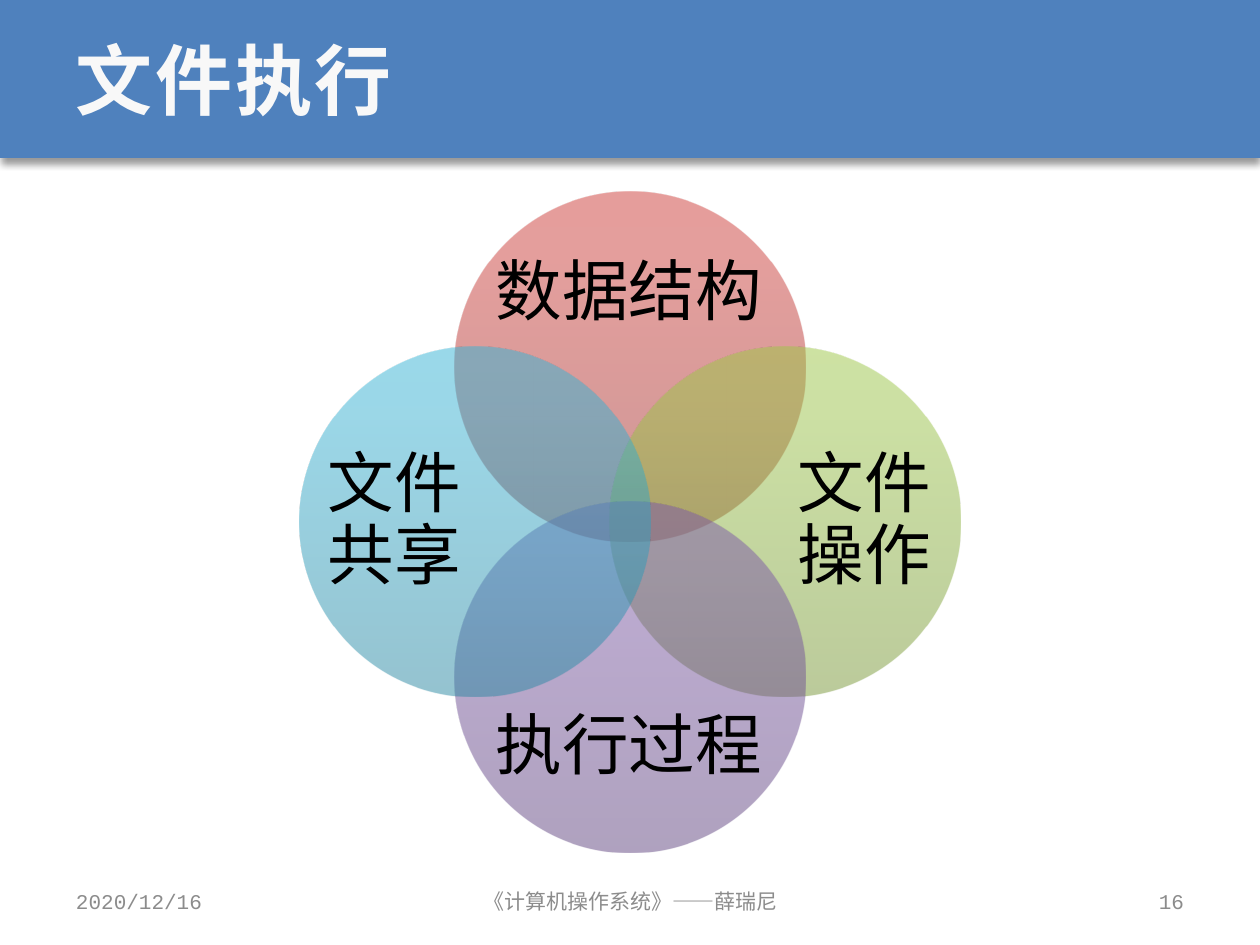
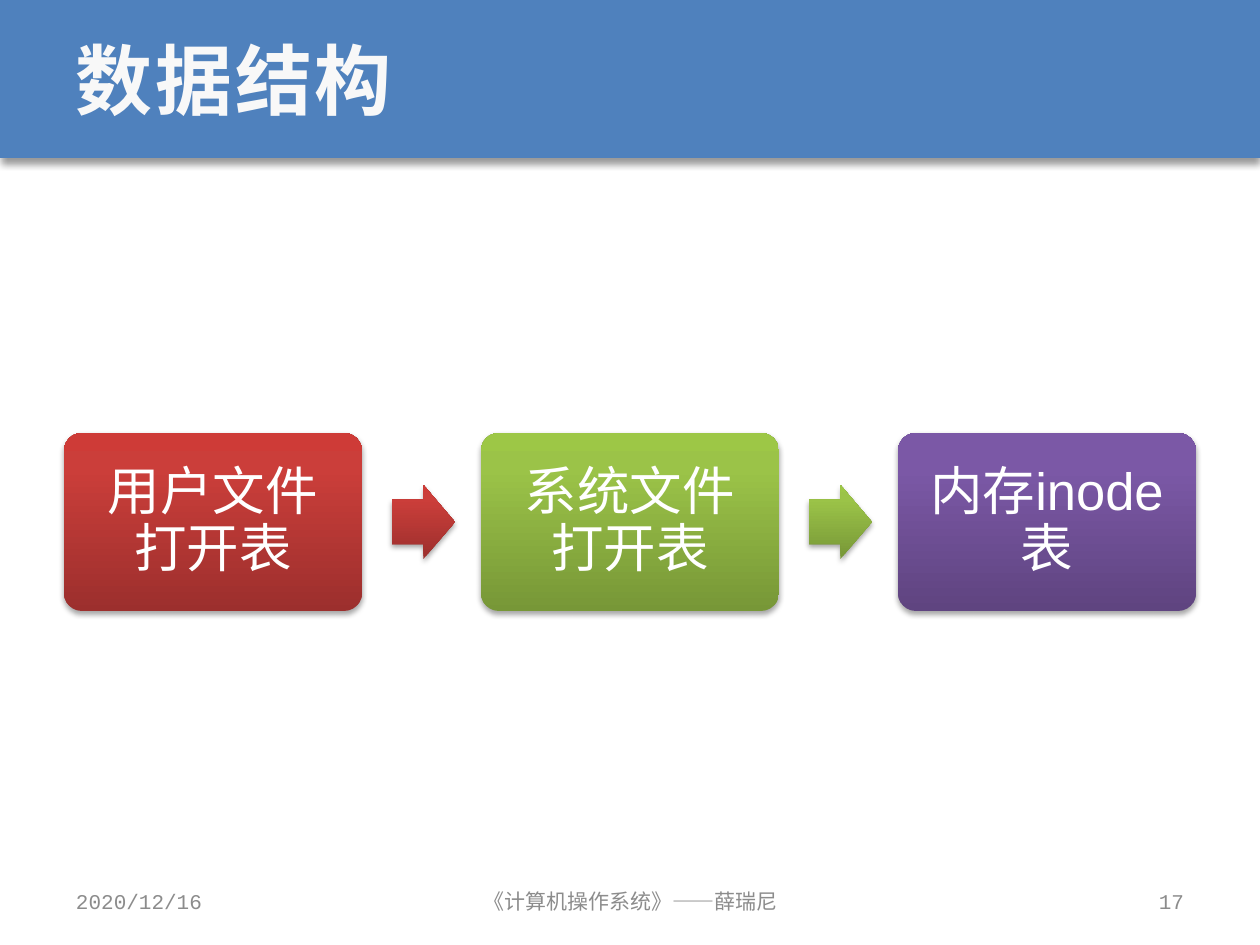
import lxml.etree
import pptx
import pptx.dml.color
import pptx.enum.shapes
import pptx.enum.text
import pptx.oxml.ns
import pptx.util

PX = 7257.14  # EMU per px, 126 px to the inch
COLORS = {"band": "4F81BD", "title": "F8F8F8", "footer": "8C8C8C",
          "black": "000000", "white": "FFFFFF"}
# Gradients run from the bottom up, with stops at 0, 80 and 100 percent
GRADIENTS = {"red": ("9C2F2D", "CB3E3A", "CE3B37"),
             "green": ("779737", "9BC348", "9DC746"),
             "purple": ("5F4480", "7B58A6", "7C57A8"),
             "cyan": ("2A88A2", "37B1D2", "34B4D6")}
STOPS = (0, 80, 100)
SHAPE = pptx.enum.shapes.MSO_SHAPE
ALIGN = pptx.enum.text.PP_ALIGN
qn = pptx.oxml.ns.qn


def add_figure(page, kind, bounds, fill, alpha=100, shadow=None):
    """Add a borderless shape; shadow is (opacity percent, blur pt, distance pt)."""
    figure = page.shapes.add_shape(kind, *[round(v * PX) for v in bounds])
    figure.line.fill.background()
    figure.shadow.inherit = False
    properties = figure._element.spPr
    if fill in GRADIENTS:
        figure.fill.gradient()
        figure.fill.gradient_angle = 90
        stop_list = properties.find(".//" + qn("a:gsLst"))
        stop_list.clear()
        for position, color in zip(STOPS, GRADIENTS[fill]):
            stop = lxml.etree.SubElement(stop_list, qn("a:gs"), pos=str(position * 1000))
            tone = lxml.etree.SubElement(stop, qn("a:srgbClr"), val=color)
            if alpha < 100:
                lxml.etree.SubElement(tone, qn("a:alpha"), val=str(alpha * 1000))
    else:
        figure.fill.solid()
        figure.fill.fore_color.rgb = pptx.dml.color.RGBColor.from_string(COLORS[fill])
    if shadow:
        opacity, blur, distance = shadow
        outer = lxml.etree.SubElement(
            properties.find(qn("a:effectLst")), qn("a:outerShdw"),
            blurRad=str(pptx.util.Pt(blur)), dist=str(pptx.util.Pt(distance)),
            dir="5400000", rotWithShape="0")
        tone = lxml.etree.SubElement(outer, qn("a:srgbClr"), val=COLORS["black"])
        lxml.etree.SubElement(tone, qn("a:alpha"), val=str(opacity * 1000))
    return figure


def write_text(box, text, size, color, font="Arial", align=ALIGN.CENTER,
               insets=(0, 0), spacing=0.9):
    """Fill a box with one middle-anchored paragraph and return it."""
    frame = box.text_frame
    frame.word_wrap = True
    frame.vertical_anchor = pptx.enum.text.MSO_ANCHOR.MIDDLE
    frame.margin_left = frame.margin_right = round(insets[0] * PX)
    frame.margin_top = frame.margin_bottom = round(insets[1] * PX)
    paragraph = frame.paragraphs[0]
    paragraph.text = text
    paragraph.alignment = align
    paragraph.line_spacing = spacing
    paragraph.font.name = font
    paragraph.font.size = pptx.util.Pt(size)
    paragraph.font.color.rgb = pptx.dml.color.RGBColor.from_string(COLORS[color])
    return paragraph


deck = pptx.Presentation()
deck.slide_width = round(1260 * PX)
deck.slide_height = round(945 * PX)

# Shared frame: title band and footer
pages = []
for number, title in ((16, "文件执行"), (17, "数据结构")):
    page = deck.slides.add_slide(deck.slide_layouts[6])
    pages.append(page)
    add_figure(page, SHAPE.RECTANGLE, (0, 0, 1260, 158), "band", shadow=(40, 4, 3))
    box = page.shapes.add_textbox(*[round(v * PX) for v in (63, 0, 1134, 158)])
    heading = write_text(box, title, 44, "title", "Courier New", ALIGN.LEFT, (13, 6), 1.0)
    heading.font.bold = True
    heading.font._element.set("spc", "150")
    for left, width, text, align in (
            (63, 294, "2020/12/16", ALIGN.LEFT),
            (431, 399, "《计算机操作系统》——薛瑞尼", ALIGN.CENTER),
            (903, 294, str(number), ALIGN.RIGHT)):
        box = page.shapes.add_textbox(*[round(v * PX) for v in (left, 876, width, 50)])
        write_text(box, text, 12, "footer", "Courier New", align, (13, 6), 1.0)
venn_page, flow_page = pages

# Four overlapping circles around one centre, each with its label
DIAMETER, OFFSET = 350, 155
for column, row, color, text, label_bounds in (
        (0, -1, "red", "数据结构", (495, 239, 268, 111)),
        (1, 0, "green", "文件操作", (797, 388, 135, 268)),
        (0, 1, "purple", "执行过程", (495, 693, 268, 111)),
        (-1, 0, "cyan", "文件共享", (327, 388, 135, 268))):
    circle_bounds = (455 + column * OFFSET, 347 + row * OFFSET, DIAMETER, DIAMETER)
    add_figure(venn_page, SHAPE.OVAL, circle_bounds, color, alpha=50)
    label = venn_page.shapes.add_textbox(*[round(v * PX) for v in label_bounds])
    write_text(label, text, 38, "black")

# Three tables in a row, joined by block arrows
STEP, SOFT_SHADOW = 417, (35, 3.1, 1.8)
tables = (("用户文件打开表", "red"), ("系统文件打开表", "green"), ("内存inode表", "purple"))
for index, (text, color) in enumerate(tables):
    left = 64 + index * STEP
    card = add_figure(flow_page, SHAPE.ROUNDED_RECTANGLE, (left, 433, 298, 178),
                      color, shadow=SOFT_SHADOW)
    card.adjustments[0] = 0.1
    write_text(card, text, 30, "white", insets=(15, 15))
    if index < len(tables) - 1:
        arrow = add_figure(flow_page, SHAPE.RIGHT_ARROW, (left + 328, 485, 63, 74),
                           color, shadow=SOFT_SHADOW)
        arrow.adjustments[0] = 0.6
        arrow.adjustments[1] = 0.5

deck.save("out.pptx")
